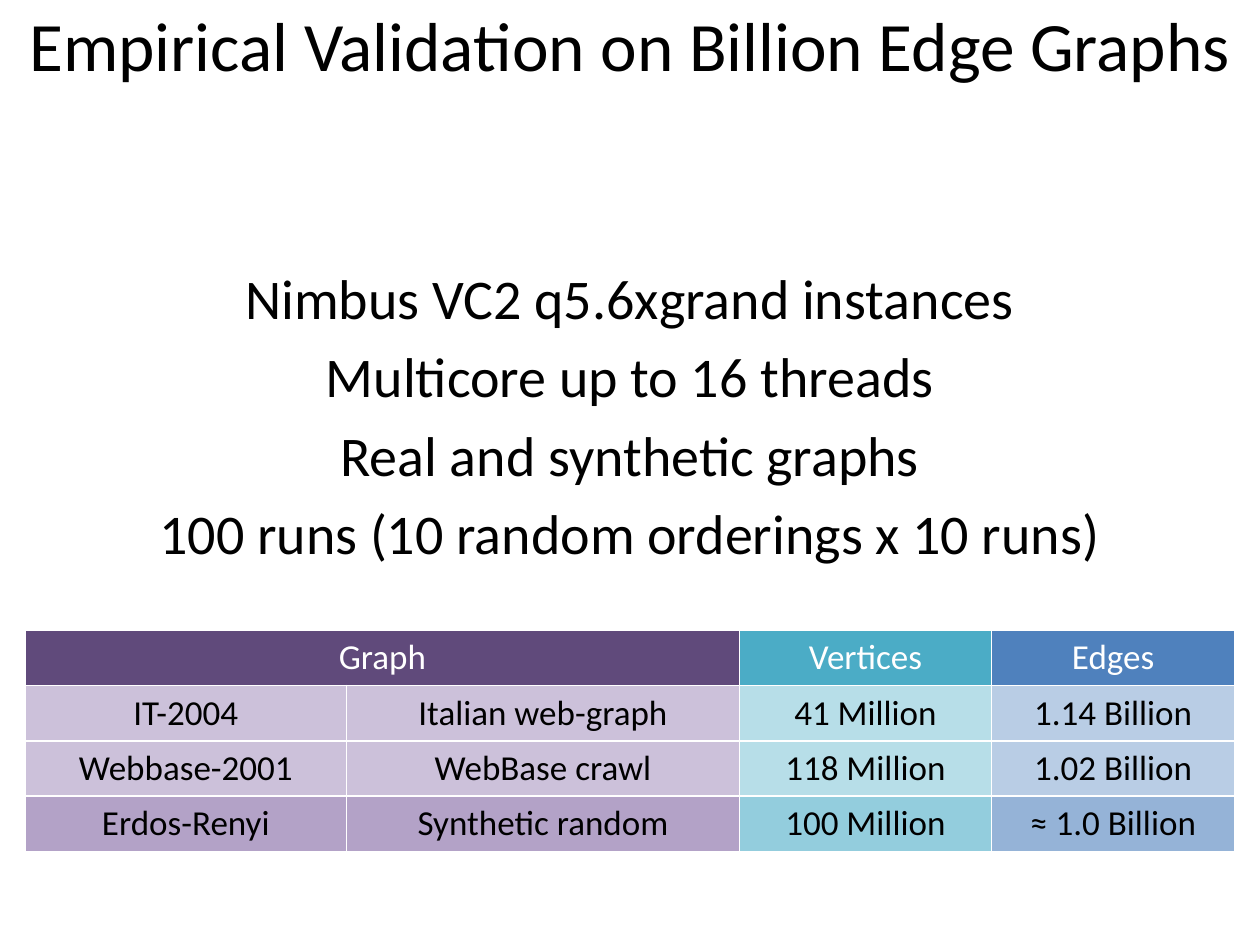
import pptx
import pptx.dml.color
import pptx.enum.text
import pptx.oxml
import pptx.oxml.ns
import pptx.util
from pptx.util import Inches

BLACK = pptx.dml.color.RGBColor(0x00, 0x00, 0x00)
WHITE = pptx.dml.color.RGBColor(0xFF, 0xFF, 0xFF)
PURPLES = ("604A7B", "CCC1DA", "CCC1DA", "B3A2C7")
TEALS = ("4BACC6", "B7DEE8", "B7DEE8", "93CDDD")
BLUES = ("4F81BD", "B9CDE5", "B9CDE5", "95B3D7")
COLUMN_FILLS = [
    [pptx.dml.color.RGBColor.from_string(shade) for shade in shades]
    for shades in (PURPLES, PURPLES, TEALS, BLUES)
]
COLUMN_WIDTHS = (2.55, 3.12, 2.0, 1.93)
SETUP_LINES = (
    "Nimbus VC2 q5.6xgrand instances",
    "Multicore up to 16 threads",
    "Real and synthetic graphs",
    "100 runs (10 random orderings x 10 runs)",
)
GRAPH_ROWS = (
    ("Graph", "", "Vertices", "Edges"),
    ("IT-2004", "Italian web-graph", "41 Million", "1.14 Billion"),
    ("Webbase-2001", "WebBase crawl", "118 Million", "1.02 Billion"),
    ("Erdos-Renyi", "Synthetic random", "100 Million", "≈ 1.0 Billion"),
)


def format_text(frame, size, color):
    """Centre every paragraph of a frame and style its text."""
    for para in frame.paragraphs:
        para.alignment = pptx.enum.text.PP_ALIGN.CENTER
        for span in para.runs:
            span.font.name = "Calibri"
            span.font.size = pptx.util.Pt(size)
            span.font.bold = False
            span.font.color.rgb = color


def place_title(page, left, top, width, height):
    """Move the title placeholder into its box and fill it."""
    title = page.shapes.title
    title.left, title.top, title.width, title.height = left, top, width, height
    frame = title.text_frame
    frame.text = "Empirical Validation on Billion Edge Graphs"
    frame.word_wrap = True
    frame.auto_size = pptx.enum.text.MSO_AUTO_SIZE.NONE
    frame.vertical_anchor = pptx.enum.text.MSO_ANCHOR.TOP
    format_text(frame, 39.6, BLACK)


def add_setup(page, left, top, width, height):
    """List the experimental setup in a centred text box."""
    frame = page.shapes.add_textbox(left, top, width, height).text_frame
    frame.word_wrap = True
    frame.text = "\n".join(SETUP_LINES)
    format_text(frame, 32, BLACK)
    for para in frame.paragraphs[1:]:
        para.space_before = pptx.util.Pt(6.4)


def add_borders(cell):
    """Draw white lines on all four sides of a cell."""
    properties = cell._tc.get_or_add_tcPr()
    for side in "LRTB":
        properties.append(pptx.oxml.parse_xml(
            f'<a:ln{side} {pptx.oxml.ns.nsdecls("a")} w="{pptx.util.Pt(1)}">'
            f'<a:solidFill><a:srgbClr val="{WHITE}"/></a:solidFill></a:ln{side}>'
        ))


def add_graph_table(page, left, top, width, height):
    """Build the table of graph sizes in its box."""
    table = page.shapes.add_table(
        len(GRAPH_ROWS), len(COLUMN_WIDTHS), left, top, width, height
    ).table
    for column, column_width in zip(table.columns, COLUMN_WIDTHS):
        column.width = Inches(column_width)
    for row, texts in enumerate(GRAPH_ROWS):
        for column, text in enumerate(texts):
            cell = table.cell(row, column)
            cell.text = text
            add_borders(cell)
            cell.fill.solid()
            cell.fill.fore_color.rgb = COLUMN_FILLS[column][row]
            format_text(cell.text_frame, 20, WHITE if row == 0 else BLACK)
    table.cell(0, 0).merge(table.cell(0, 1))


def main():
    """Build the slide and save the deck."""
    deck = pptx.Presentation()
    deck.slide_width, deck.slide_height = Inches(10), Inches(7.5)
    page = deck.slides.add_slide(deck.slide_layouts.get_by_name("Title Only"))
    place_title(page, Inches(0), Inches(-0.03), Inches(10), Inches(1.25))
    add_setup(page, Inches(0.5), Inches(2.04), Inches(9), Inches(4.95))
    add_graph_table(page, Inches(0.2), Inches(5), Inches(9.6), Inches(1.76))
    deck.save("out.pptx")


if __name__ == "__main__":
    main()
